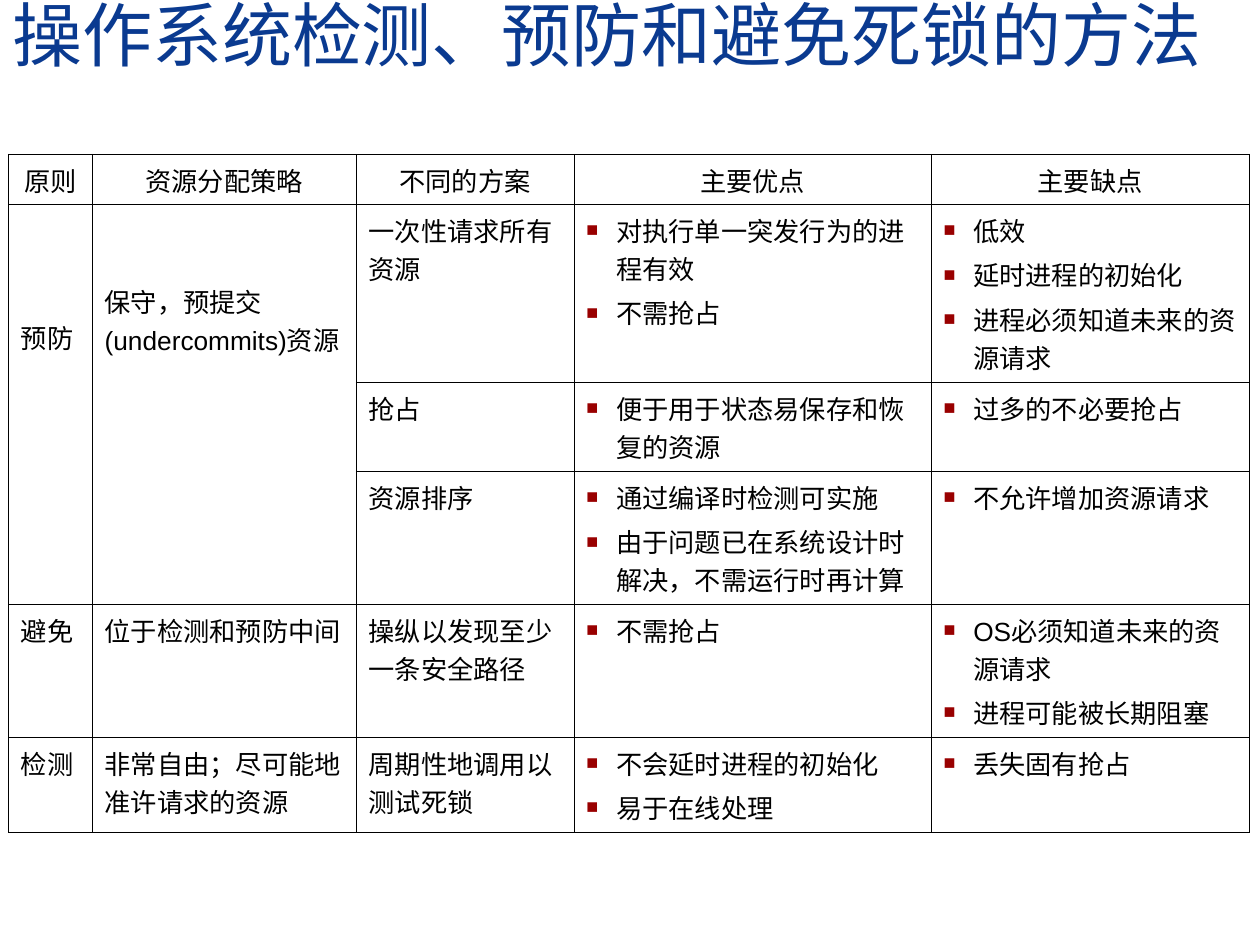
"""Build a slide comparing deadlock detection, prevention and avoidance."""
from dataclasses import dataclass

from lxml import etree
from pptx import Presentation
from pptx.dml.color import RGBColor
from pptx.enum.text import MSO_ANCHOR, PP_ALIGN
from pptx.oxml.ns import qn
from pptx.util import Cm, Pt

CENTER, LEFT = PP_ALIGN.CENTER, PP_ALIGN.LEFT
BOTTOM = MSO_ANCHOR.BOTTOM

BLACK, NAVY, DARK_RED = "000000", "0A3A90", "990000"
SIDE_MARGIN, EDGE_MARGIN = Cm(0.25), Cm(0.13)
BULLET_INDENT = Cm(0.6)
BORDER_WIDTH = Pt(0.45)
BORDER_SIDES = ("a:lnL", "a:lnR", "a:lnT", "a:lnB")

COLUMN_WIDTHS = (1.69, 5.32, 4.39, 7.2, 6.41)
ROW_HEIGHTS = (1.01, 3.59, 1.79, 2.68, 2.68, 1.92)
FIRST_BULLET_COLUMN = 3
HEADINGS = ("原则", "资源分配策略", "不同的方案", "主要优点", "主要缺点")


@dataclass(frozen=True)
class Scheme:
    """One way to carry out a principle."""

    name: str
    advantages: tuple[str, ...]
    drawbacks: tuple[str, ...]


@dataclass(frozen=True)
class Principle:
    """A principle, its allocation strategy and its schemes."""

    name: str
    strategy: str
    schemes: tuple[Scheme, ...]
    name_margin: int = EDGE_MARGIN
    strategy_margin: int = EDGE_MARGIN


PRINCIPLES = (
    Principle("预防", "保守，预提交(undercommits)资源", (
        Scheme("一次性请求所有资源",
               ("对执行单一突发行为的进程有效", "不需抢占"),
               ("低效", "延时进程的初始化", "进程必须知道未来的资源请求")),
        Scheme("抢占", ("便于用于状态易保存和恢复的资源",), ("过多的不必要抢占",)),
        Scheme("资源排序",
               ("通过编译时检测可实施", "由于问题已在系统设计时解决，不需运行时再计算"),
               ("不允许增加资源请求",)),
    ), Cm(2.29), Cm(1.56)),
    Principle("避免", "位于检测和预防中间", (
        Scheme("操纵以发现至少一条安全路径", ("不需抢占",),
               ("OS必须知道未来的资源请求", "进程可能被长期阻塞")),
    )),
    Principle("检测", "非常自由；尽可能地准许请求的资源", (
        Scheme("周期性地调用以测试死锁",
               ("不会延时进程的初始化", "易于在线处理"), ("丢失固有抢占",)),
    )),
)


def set_font(para, name: str, size: float, color: str) -> None:
    """Set the typeface, size and colour of a paragraph."""
    para.font.name = name
    para.font.size = Pt(size)
    para.font.color.rgb = RGBColor.from_string(color)


def add_bullet(para) -> None:
    """Give a paragraph a small red square and a hanging indent."""
    properties = para._p.get_or_add_pPr()
    properties.set("marL", str(BULLET_INDENT))
    properties.set("indent", str(-BULLET_INDENT))
    tint = etree.SubElement(properties, qn("a:buClr"))
    etree.SubElement(tint, qn("a:srgbClr"), val=DARK_RED)
    etree.SubElement(properties, qn("a:buSzPct"), val="75000")
    etree.SubElement(properties, qn("a:buFont"), typeface="Arial")
    etree.SubElement(properties, qn("a:buChar"), char="■")


def style_cell(cell) -> None:
    """Give a cell thin black borders, no fill and even margins."""
    properties = cell._tc.get_or_add_tcPr()
    for side in BORDER_SIDES:
        line = etree.SubElement(properties, qn(side), w=str(BORDER_WIDTH))
        fill = etree.SubElement(line, qn("a:solidFill"))
        etree.SubElement(fill, qn("a:srgbClr"), val=BLACK)
    cell.fill.background()
    cell.margin_left = cell.margin_right = SIDE_MARGIN
    cell.margin_top = cell.margin_bottom = EDGE_MARGIN


def write_cell(cell, lines: tuple[str, ...], bulleted: bool = False,
               align=LEFT) -> None:
    """Write one paragraph per line into a cell."""
    frame = cell.text_frame
    for index, line in enumerate(lines):
        para = frame.add_paragraph() if index else frame.paragraphs[0]
        para.text = line
        para.alignment = align
        if bulleted:
            add_bullet(para)
        if index:
            para.space_before = Pt(3.7)
        set_font(para, "Arial", 15, BLACK)


def add_title(page, text: str) -> None:
    """Add the slide title across the top."""
    box = page.shapes.add_textbox(0, 0, Cm(25.4), Cm(1.63))
    frame = box.text_frame
    frame.word_wrap = True
    frame.vertical_anchor = BOTTOM
    para = frame.paragraphs[0]
    para.text = text
    para.line_spacing = 0.8
    set_font(para, "Times New Roman", 40, NAVY)


def add_comparison(page) -> None:
    """Add the table of principles and their schemes."""
    table = page.shapes.add_table(
        len(ROW_HEIGHTS), len(COLUMN_WIDTHS), Cm(0.17), Cm(3.11),
        Cm(sum(COLUMN_WIDTHS)), Cm(sum(ROW_HEIGHTS))).table
    table.first_row = table.horz_banding = False
    for column, width in zip(table.columns, COLUMN_WIDTHS):
        column.width = Cm(width)
    for row, height in zip(table.rows, ROW_HEIGHTS):
        row.height = Cm(height)
    for cell in table.iter_cells():
        style_cell(cell)

    for column, heading in enumerate(HEADINGS):
        write_cell(table.cell(0, column), (heading,), align=CENTER)
    top = 1
    for principle in PRINCIPLES:
        last = top + len(principle.schemes) - 1
        labels = ((principle.name, principle.name_margin),
                  (principle.strategy, principle.strategy_margin))
        for column, (label, margin) in enumerate(labels):
            cell = table.cell(top, column)
            if last > top:
                cell.merge(table.cell(last, column))
            cell.margin_top = margin
            write_cell(cell, (label,))
        for row, scheme in enumerate(principle.schemes, top):
            entries = ((scheme.name,), scheme.advantages, scheme.drawbacks)
            for column, lines in enumerate(entries, len(labels)):
                write_cell(table.cell(row, column), lines,
                           column >= FIRST_BULLET_COLUMN)
        top = last + 1


def main() -> None:
    """Build and save the deck."""
    deck = Presentation()
    deck.slide_width, deck.slide_height = Cm(25.4), Cm(19.05)
    page = deck.slides.add_slide(deck.slide_layouts[6])
    add_title(page, "操作系统检测、预防和避免死锁的方法")
    add_comparison(page)
    deck.save("out.pptx")


if __name__ == "__main__":
    main()
